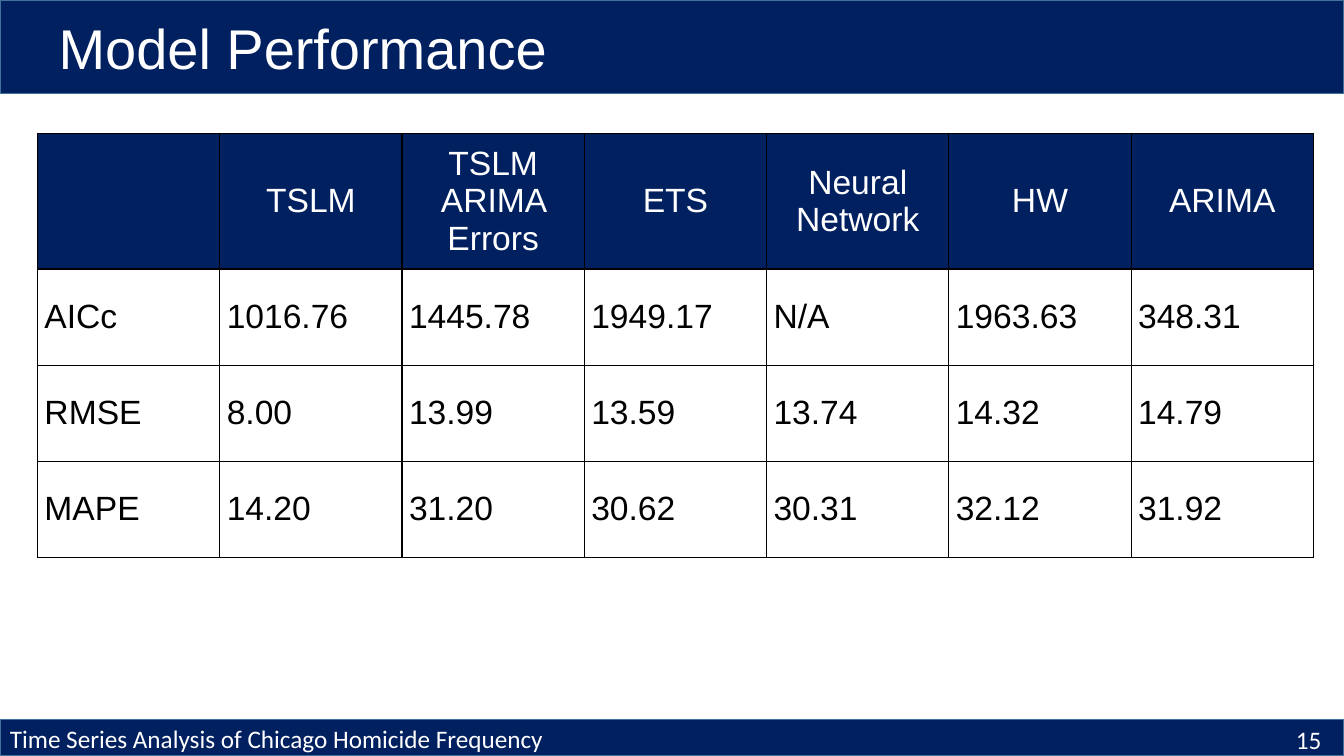
from lxml import etree
from pptx import Presentation
from pptx.dml.color import RGBColor
from pptx.enum import shapes, text
from pptx.oxml import ns
from pptx.util import Pt

NAVY = RGBColor(0x00, 0x20, 0x60)
BAR_EDGE = RGBColor(0x42, 0x71, 0x9B)
WHITE = RGBColor(0xFF, 0xFF, 0xFF)
BLACK = RGBColor(0x00, 0x00, 0x00)

SLIDE_WIDTH, SLIDE_HEIGHT = 960, 540
COLUMN_WIDTH = 130.2
HEADER_HEIGHT, ROW_HEIGHT = 96.8, 68.6
CELL_MARGIN = 5

MODELS = ["", "TSLM", "TSLM ARIMA Errors", "ETS", "Neural Network", "HW", "ARIMA"]
SCORES = [
    ["AICc", "1016.76", "1445.78", "1949.17", "N/A", "1963.63", "348.31"],
    ["RMSE", "8.00", "13.99", "13.59", "13.74", "14.32", "14.79"],
    ["MAPE", "14.20", "31.20", "30.62", "30.31", "32.12", "31.92"],
]


def write(frame, wording, *, size, font="Arial", color=WHITE, align=text.PP_ALIGN.LEFT):
    paragraph = frame.paragraphs[0]
    paragraph.alignment = align
    run = paragraph.add_run()
    run.text = wording
    run.font.size = Pt(size)
    run.font.name = font
    run.font.color.rgb = color


def add_bar(slide, top, height):
    bar = slide.shapes.add_shape(
        shapes.MSO_SHAPE.RECTANGLE, 0, Pt(top), Pt(SLIDE_WIDTH), Pt(height))
    bar.shadow.inherit = False
    bar.fill.solid()
    bar.fill.fore_color.rgb = NAVY
    bar.line.color.rgb = BAR_EDGE
    bar.line.width = Pt(1)


def add_footer_text(slide, wording, left, top, width):
    footer = slide.shapes.add_textbox(Pt(left), Pt(top), Pt(width), Pt(29))
    footer.text_frame.word_wrap = True
    write(footer.text_frame, wording, size=18, font="Calibri")


def place_title(slide, wording):
    """Format the title placeholder and bring it in front of the bars."""
    title = slide.shapes.title
    title.left, title.top, title.width, title.height = Pt(34.6), Pt(6), Pt(925.4), Pt(55.7)
    title.text_frame.vertical_anchor = text.MSO_ANCHOR.TOP
    title.text_frame.auto_size = text.MSO_AUTO_SIZE.NONE
    write(title.text_frame, wording, size=40)
    title.element.getparent().append(title.element)


def add_borders(cell):
    properties = cell._tc.get_or_add_tcPr()
    for position, side in enumerate(("lnL", "lnR", "lnT", "lnB")):
        line = etree.Element(ns.qn(f"a:{side}"), w=str(Pt(1)))
        fill = etree.SubElement(line, ns.qn("a:solidFill"))
        etree.SubElement(fill, ns.qn("a:srgbClr"), val=str(BLACK))
        properties.insert(position, line)


def format_cell(cell, wording, is_header):
    cell.vertical_anchor = text.MSO_ANCHOR.MIDDLE
    cell.margin_left = cell.margin_right = Pt(CELL_MARGIN)
    cell.margin_top = cell.margin_bottom = Pt(CELL_MARGIN)
    if is_header:
        cell.fill.solid()
        cell.fill.fore_color.rgb = NAVY
    else:
        cell.fill.background()
    add_borders(cell)
    if wording:
        write(cell.text_frame, wording, size=24,
              color=WHITE if is_header else BLACK,
              align=text.PP_ALIGN.CENTER if is_header else text.PP_ALIGN.LEFT)


def add_score_table(slide, left, top):
    rows = [MODELS, *SCORES]
    table = slide.shapes.add_table(
        len(rows), len(MODELS), Pt(left), Pt(top), Pt(COLUMN_WIDTH * len(MODELS)),
        Pt(HEADER_HEIGHT + ROW_HEIGHT * len(SCORES))).table
    table.horz_banding = False
    for column in table.columns:
        column.width = Pt(COLUMN_WIDTH)
    for row_index, values in enumerate(rows):
        is_header = row_index == 0
        table.rows[row_index].height = Pt(HEADER_HEIGHT if is_header else ROW_HEIGHT)
        for column_index, value in enumerate(values):
            format_cell(table.cell(row_index, column_index), value, is_header)


def main():
    presentation = Presentation()
    presentation.slide_width = Pt(SLIDE_WIDTH)
    presentation.slide_height = Pt(SLIDE_HEIGHT)
    slide = presentation.slides.add_slide(presentation.slide_layouts[5])

    add_bar(slide, 514, 26)
    add_footer_text(slide, "15", 918.5, 513.5, 41.5)
    add_footer_text(slide, "Time Series Analysis of Chicago Homicide Frequency", 0, 512.8, 407)
    add_bar(slide, 0, 67)
    place_title(slide, "Model Performance")
    add_score_table(slide, 26.8, 95.4)

    presentation.save("out.pptx")


if __name__ == "__main__":
    main()
